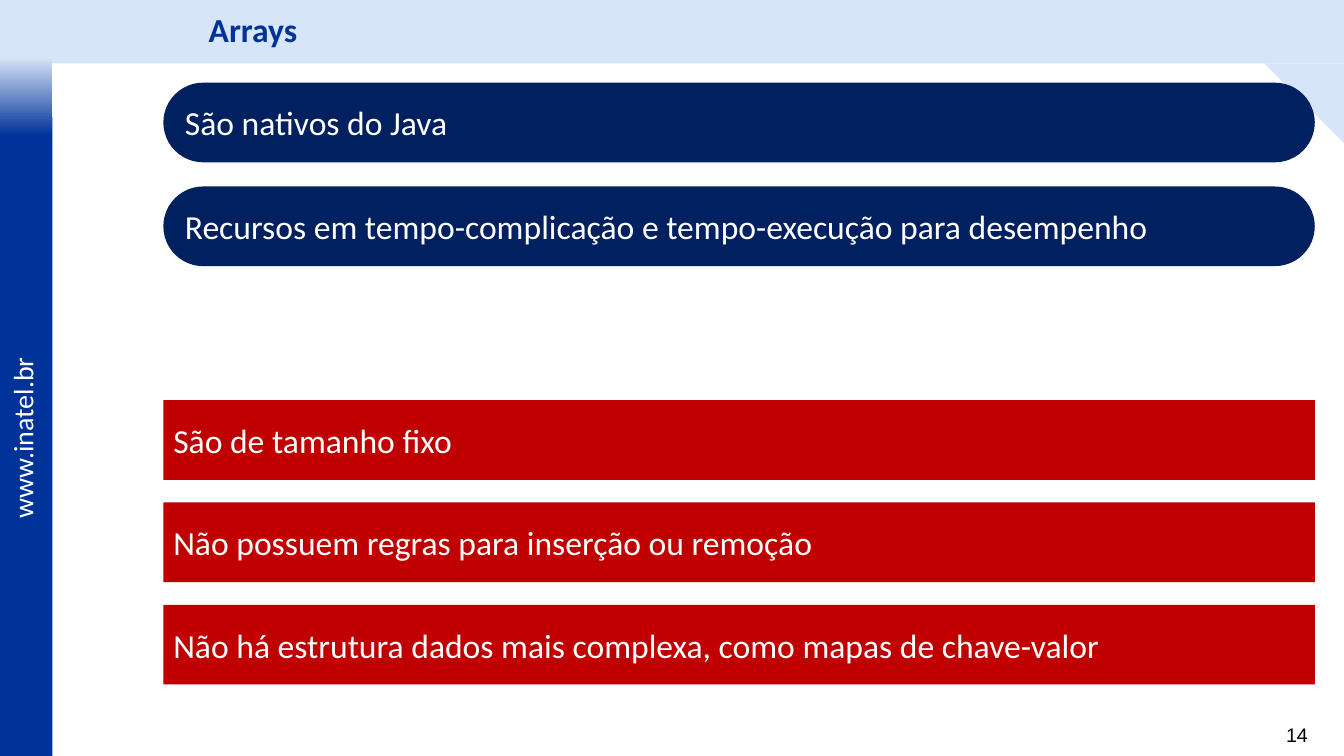
from pptx import Presentation
from pptx.dml.color import RGBColor
from pptx.enum.shapes import MSO_SHAPE as Shape
from pptx.enum.text import MSO_ANCHOR as Anchor, PP_ALIGN as Align
from pptx.util import Pt

EMU_PER_PX = 9144  # 100 px to the inch
PAGE_W, PAGE_H = 1333, 750
BAND_H, SIDE_W = 63, 52

WHITE = RGBColor(0xFF, 0xFF, 0xFF)
BLACK = RGBColor(0x00, 0x00, 0x00)
PALE = RGBColor(0xD7, 0xE5, 0xF9)
BLUE = RGBColor(0x00, 0x33, 0x99)
NAVY = RGBColor(0x00, 0x20, 0x60)
RED = RGBColor(0xC0, 0x00, 0x00)

STRENGTHS = [
    "São nativos do Java",
    "Recursos em tempo-complicação e tempo-execução para desempenho",
]
LIMITS = [
    "São de tamanho fixo",
    "Não possuem regras para inserção ou remoção",
    "Não há estrutura dados mais complexa, como mapas de chave-valor",
]


def px(*lengths):
    return [round(length * EMU_PER_PX) for length in lengths]


def write(shape, text, size, color, font="Calibri", bold=False,
          align=Align.LEFT, anchor=Anchor.MIDDLE, wrap=True):
    frame = shape.text_frame
    frame.text = text
    frame.word_wrap = wrap
    frame.vertical_anchor = anchor
    para = frame.paragraphs[0]
    para.alignment = align
    span = para.runs[0].font
    span.name, span.size, span.bold = font, Pt(size), bold
    span.color.rgb = color
    return para


def add_block(page, kind, box, color):
    shape = page.shapes.add_shape(kind, *px(*box))
    shape.shadow.inherit = False
    shape.line.fill.background()
    shape.fill.solid()
    shape.fill.fore_color.rgb = color
    return shape


def add_header(page, box, text):
    left, top, width, height = box
    add_block(page, Shape.RECTANGLE, box, PALE)
    # Folded corner below the right end of the band
    fold = 79
    corner = add_block(page, Shape.RIGHT_TRIANGLE,
                       (left + width - fold, top + height, fold, fold), PALE)
    corner.rotation = 180
    # Title, brought in front of the band
    title = page.shapes.title
    indent = 197
    title.left, title.top, title.width, title.height = px(
        left + indent, top, width - indent, height)
    para = write(title, text, 24, BLUE, bold=True)
    para.line_spacing = 0.9
    title.element.getparent().append(title.element)


def add_sidebar(page, box, address):
    left, top, width, height = box
    fade_h = 77
    add_block(page, Shape.RECTANGLE,
              (left, top + 59, width, height - 59), BLUE)
    # Fade from the band into the bar
    fade = add_block(page, Shape.RECTANGLE, (left, top, width, fade_h), PALE)
    fade.fill.gradient()
    fade.fill.gradient_angle = 270
    for stop, position, color in zip(fade.fill.gradient_stops, (0, 1), (PALE, BLUE)):
        stop.position = position
        stop.color.rgb = color
    # Address read upwards
    label_w, label_h = 187, 43
    label = page.shapes.add_textbox(
        *px(left + 22 - label_w / 2, top + 352, label_w, label_h))
    label.rotation = 270
    write(label, address, 20, WHITE, anchor=Anchor.TOP)


def add_bars(page, box, pitch, texts, color, roundness):
    left, top, width, height = box
    for row, text in enumerate(texts):
        bar = add_block(page, Shape.ROUNDED_RECTANGLE,
                        (left, top + row * pitch, width, height), color)
        bar.adjustments[0] = roundness
        write(bar, text, 24, WHITE)


def add_page_number(page, box, number):
    label = page.shapes.add_textbox(*px(*box))
    write(label, number, 14, BLACK, font="Arial",
          align=Align.RIGHT, anchor=Anchor.TOP)


def main():
    deck = Presentation()
    deck.slide_width, deck.slide_height = px(PAGE_W, PAGE_H)
    page = deck.slides.add_slide(deck.slide_layouts[5])
    add_header(page, (0, 0, PAGE_W, BAND_H), "Arrays")
    add_sidebar(page, (0, 57, SIDE_W, PAGE_H - 57), "www.inatel.br")
    add_bars(page, (162, 82, 1142, 79), 103, STRENGTHS, NAVY, 0.5)
    add_bars(page, (162, 397, 1142, 79), 101.5, LIMITS, RED, 0)
    add_page_number(page, (1242, 712, 65, 34), "14")
    deck.save("out.pptx")


if __name__ == "__main__":
    main()
